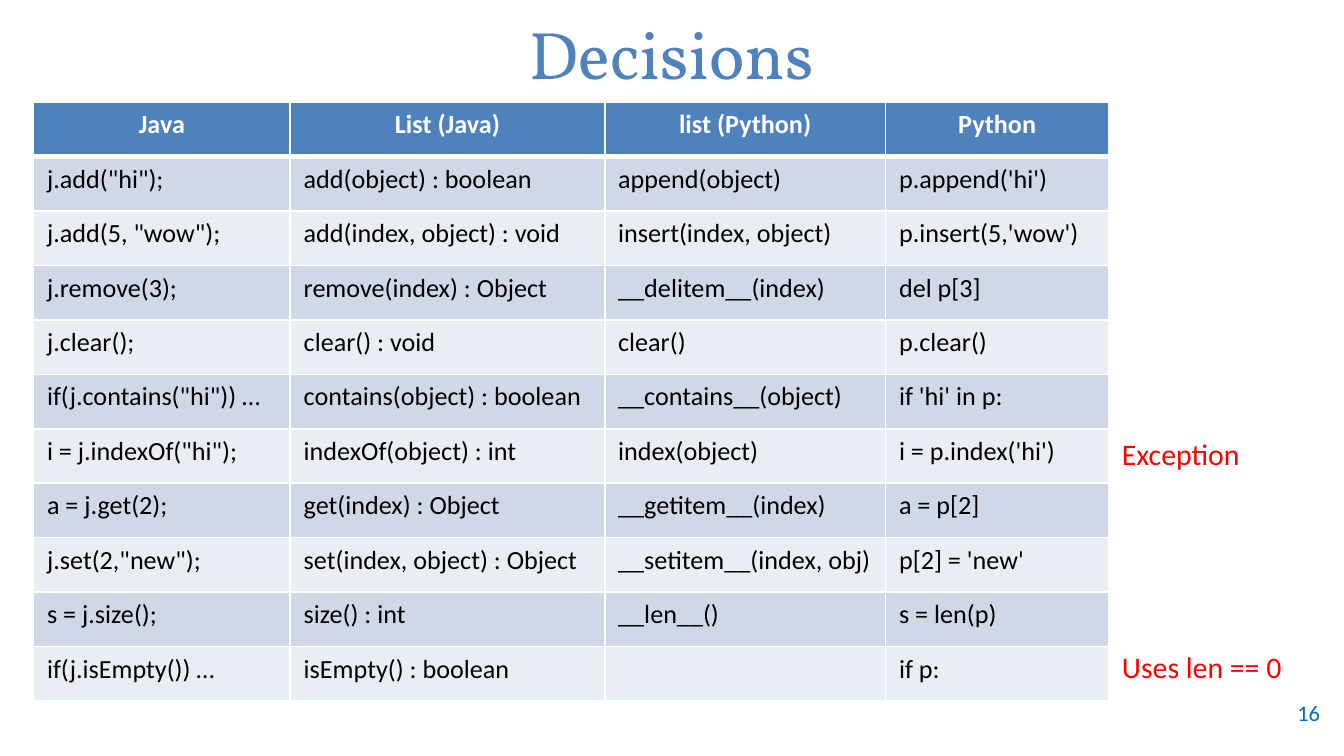
import dataclasses

import lxml.etree
import pptx
import pptx.dml.color
import pptx.enum.text
import pptx.oxml.ns
import pptx.slide
import pptx.table
import pptx.text.text
import pptx.util

Inches = pptx.util.Inches
ALIGN = pptx.enum.text.PP_ALIGN
ANCHOR = pptx.enum.text.MSO_ANCHOR

COLOURS = {
    "accent": "4F81BD",
    "band_dark": "D0D8E8",
    "band_light": "E9EDF4",
    "rule": "FFFFFF",
    "header_text": "FFFFFF",
    "body_text": "000000",
    "note": "FF0000",
    "number": "0070C0",
}

SLIDE_WIDTH = 10
COLUMN_WIDTHS = (1.91, 2.34, 2.09, 1.66)
TABLE_HEIGHT = 4.46

ROWS = (
    ("Java", "List (Java)", "list (Python)", "Python"),
    ('j.add("hi");', "add(object) : boolean", "append(object)", "p.append('hi')"),
    ('j.add(5, "wow");', "add(index, object) : void", "insert(index, object)", "p.insert(5,'wow')"),
    ("j.remove(3);", "remove(index) : Object", "__delitem__(index)", "del p[3]"),
    ("j.clear();", "clear() : void", "clear()", "p.clear()"),
    ('if(j.contains("hi")) …', "contains(object) : boolean", "__contains__(object)", "if 'hi' in p:"),
    ('i = j.indexOf("hi");', "indexOf(object) : int", "index(object)", "i = p.index('hi')"),
    ("a = j.get(2);", "get(index) : Object", "__getitem__(index)", "a = p[2]"),
    ('j.set(2,"new");', "set(index, object) : Object", "__setitem__(index, obj)", "p[2] = 'new'"),
    ("s = j.size();", "size() : int", "__len__()", "s = len(p)"),
    ("if(j.isEmpty()) …", "isEmpty() : boolean", "", "if p:"),
)


@dataclasses.dataclass(frozen=True)
class Label:
    text: str
    left: float
    top: float
    width: float
    height: float
    size: int
    colour: str
    font: str = "Calibri"
    align: ALIGN = ALIGN.LEFT
    anchor: ANCHOR = ANCHOR.TOP


TITLE = Label("Decisions", 0.08, 0.06, 9.83, 0.67, 36, "accent", "Vollkorn", ALIGN.CENTER, ANCHOR.MIDDLE)
NUMBER = Label("16", 9.25, 5.15, 0.67, 0.3, 12, "number", align=ALIGN.RIGHT, anchor=ANCHOR.MIDDLE)
NOTES = (
    Label("Uses len == 0", 8.25, 4.78, 1.44, 0.37, 16, "note"),
    Label("Exception", 8.25, 3.19, 1.44, 0.37, 16, "note"),
)


def rgb(colour: str) -> pptx.dml.color.RGBColor:
    return pptx.dml.color.RGBColor.from_string(COLOURS[colour])


def write(frame: pptx.text.text.TextFrame, text: str, align: ALIGN, colour: str,
          size: int, font: str = "Calibri", bold: bool = False) -> None:
    line = frame.paragraphs[0]
    line.text = text
    line.alignment = align
    font_format = {"name": font, "size": pptx.util.Pt(size), "bold": bold}
    for target in (line.font, *(run.font for run in line.runs)):
        for attribute, value in font_format.items():
            setattr(target, attribute, value)
        target.color.rgb = rgb(colour)


def draw_label(slide: pptx.slide.Slide, label: Label) -> None:
    bounds = (label.left, label.top, label.width, label.height)
    frame = slide.shapes.add_textbox(*map(Inches, bounds)).text_frame
    frame.word_wrap = True
    frame.vertical_anchor = label.anchor
    write(frame, label.text, label.align, label.colour, label.size, label.font)


def rule_cell(cell: pptx.table._Cell, weights: dict[str, int]) -> None:
    qn = pptx.oxml.ns.qn
    properties = cell._tc.get_or_add_tcPr()
    for position, (side, points) in enumerate(weights.items()):
        border = lxml.etree.Element(qn(f"a:ln{side}"), w=str(pptx.util.Pt(points)))
        fill = lxml.etree.SubElement(border, qn("a:solidFill"))
        lxml.etree.SubElement(fill, qn("a:srgbClr"), val=COLOURS["rule"])
        properties.insert(position, border)


def draw_comparison(slide: pptx.slide.Slide) -> None:
    comparison = slide.shapes.add_table(
        len(ROWS), len(COLUMN_WIDTHS), Inches(0.25), Inches(0.76),
        Inches(sum(COLUMN_WIDTHS)), Inches(TABLE_HEIGHT)).table
    for column, width in zip(comparison.columns, COLUMN_WIDTHS):
        column.width = Inches(width)
    for row_index, entries in enumerate(ROWS):
        header = row_index == 0
        band = "band_dark" if row_index % 2 else "band_light"
        # A heavier rule separates the header from the methods
        weights = {"L": 1, "R": 1, "T": 3 if row_index == 1 else 1, "B": 3 if header else 1}
        for column_index, entry in enumerate(entries):
            cell = comparison.cell(row_index, column_index)
            cell.fill.solid()
            cell.fill.fore_color.rgb = rgb("accent" if header else band)
            rule_cell(cell, weights)
            write(cell.text_frame, entry,
                  ALIGN.CENTER if header else ALIGN.LEFT,
                  "header_text" if header else "body_text", 14, bold=header)


def main() -> None:
    deck = pptx.Presentation()
    deck.slide_width = Inches(SLIDE_WIDTH)
    deck.slide_height = Inches(SLIDE_WIDTH * 9 / 16)
    slide = deck.slides.add_slide(deck.slide_layouts[6])

    # Title and slide number
    draw_label(slide, TITLE)
    draw_label(slide, NUMBER)

    # Method comparison
    draw_comparison(slide)

    # Side notes
    for note in NOTES:
        draw_label(slide, note)

    deck.save("out.pptx")


if __name__ == "__main__":
    main()
